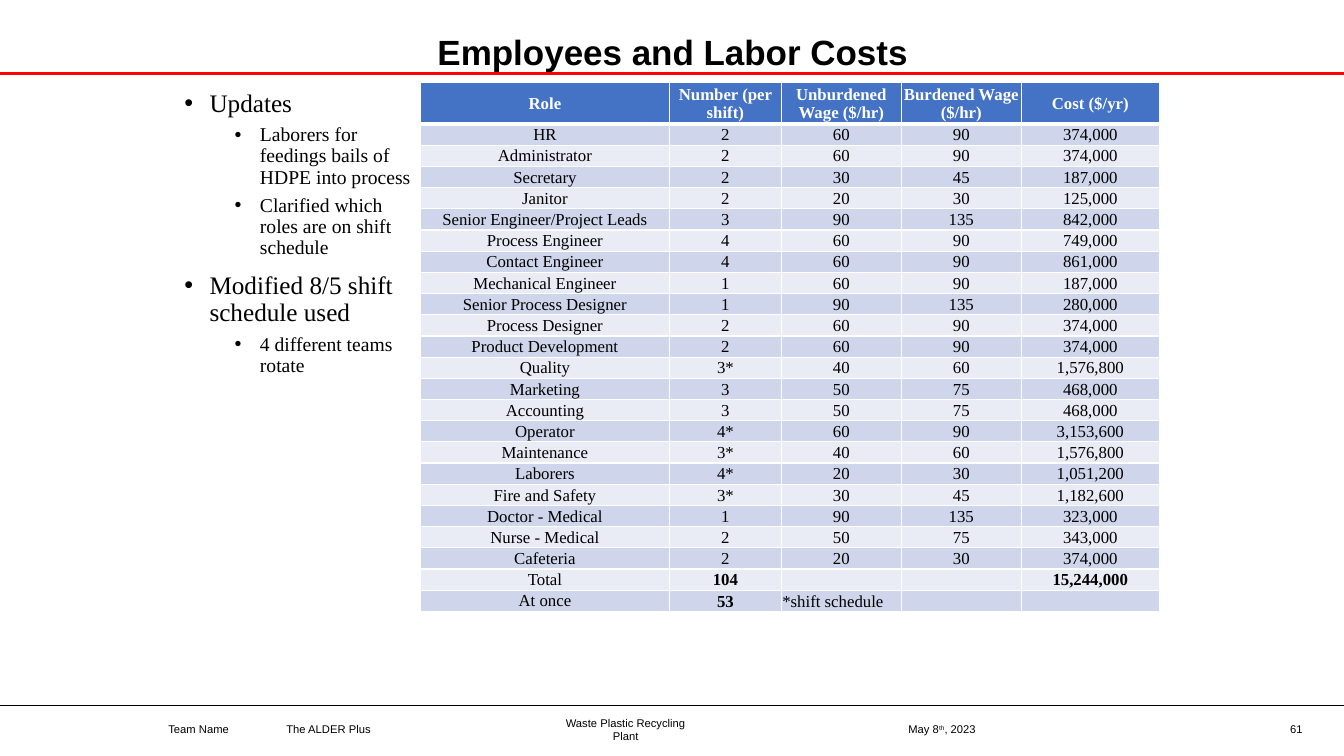
from lxml import etree
from pptx import Presentation
from pptx.dml.color import RGBColor
from pptx.enum import shapes, text
from pptx.oxml.ns import qn
from pptx.util import Inches, Pt

BLACK = RGBColor(0x00, 0x00, 0x00)
WHITE = RGBColor(0xFF, 0xFF, 0xFF)
RED = RGBColor(0xFF, 0x00, 0x00)
HEADER_BLUE = RGBColor(0x44, 0x72, 0xC4)
BANDS = (RGBColor(0xCF, 0xD5, 0xEA), RGBColor(0xE9, 0xEB, 0xF5))
SANS, SERIF = "Arial", "Times New Roman"
LEFT, CENTER, RIGHT = text.PP_ALIGN.LEFT, text.PP_ALIGN.CENTER, text.PP_ALIGN.RIGHT
MIDDLE, BOTTOM = text.MSO_ANCHOR.MIDDLE, text.MSO_ANCHOR.BOTTOM

# Content
TITLE = "Employees and Labor Costs"
POINTS = [  # level, text
    (0, "Updates"),
    (1, "Laborers for feedings bails of HDPE into process"),
    (1, "Clarified which roles are on shift schedule"),
    (0, "Modified 8/5 shift schedule used"),
    (1, "4 different teams rotate"),
]
LEVELS = [  # text size, indent, space before
    (18, 0.25, 10),
    (14, 0.75, 5),
]
STAFF = [
    ("Role", "Number (per shift)", "Unburdened Wage ($/hr)", "Burdened Wage ($/hr)", "Cost ($/yr)"),
    ("HR", "2", "60", "90", "374,000"),
    ("Administrator", "2", "60", "90", "374,000"),
    ("Secretary", "2", "30", "45", "187,000"),
    ("Janitor", "2", "20", "30", "125,000"),
    ("Senior Engineer/Project Leads", "3", "90", "135", "842,000"),
    ("Process Engineer", "4", "60", "90", "749,000"),
    ("Contact Engineer", "4", "60", "90", "861,000"),
    ("Mechanical Engineer", "1", "60", "90", "187,000"),
    ("Senior Process Designer", "1", "90", "135", "280,000"),
    ("Process Designer", "2", "60", "90", "374,000"),
    ("Product Development", "2", "60", "90", "374,000"),
    ("Quality", "3*", "40", "60", "1,576,800"),
    ("Marketing", "3", "50", "75", "468,000"),
    ("Accounting", "3", "50", "75", "468,000"),
    ("Operator", "4*", "60", "90", "3,153,600"),
    ("Maintenance", "3*", "40", "60", "1,576,800"),
    ("Laborers", "4*", "20", "30", "1,051,200"),
    ("Fire and Safety", "3*", "30", "45", "1,182,600"),
    ("Doctor - Medical", "1", "90", "135", "323,000"),
    ("Nurse - Medical", "2", "50", "75", "343,000"),
    ("Cafeteria", "2", "20", "30", "374,000"),
    ("Total", "104", "", "", "15,244,000"),
    ("At once", "53", "*shift schedule", "", ""),
]
COLUMN_WIDTHS = (2.47, 1.11, 1.19, 1.19, 1.37)
HEADER_HEIGHT, ROW_HEIGHT = 0.37, 0.2
BOLD_CELLS = {"104", "15,244,000", "53"}
BOTTOM_CELLS = {"53", "*shift schedule"}
FOOTERS = [  # left, width, alignment, runs as (text, is superscript)
    (1.67, 1.1, LEFT, [("Team Name", False)]),
    (2.84, 1.05, LEFT, [("The ALDER Plus", False)]),
    (5.5, 1.41, CENTER, [("Waste Plastic Recycling Plant", False)]),
    (9.01, 0.96, LEFT, [("May 8", False), ("th", True), (", 2023", False)]),
    (12.31, 0.61, RIGHT, [("61", False)]),
]
RULES = [(0.73, RED, 2), (7, BLACK, 1)]  # height on slide, colour, weight


def style(font, name, size, color=BLACK, bold=False):
    font.name, font.size, font.bold = name, Pt(size), bold
    font.color.rgb = color


def set_margins(item, left, top, right, bottom):
    item.margin_left, item.margin_top = Inches(left), Inches(top)
    item.margin_right, item.margin_bottom = Inches(right), Inches(bottom)


def add_border(cell, side, weight):
    line = etree.SubElement(cell._tc.get_or_add_tcPr(), qn(f"a:ln{side}"), w=str(Pt(weight)))
    fill = etree.SubElement(line, qn("a:solidFill"))
    etree.SubElement(fill, qn("a:srgbClr"), val=str(WHITE))


deck = Presentation()
deck.slide_width, deck.slide_height = Inches(13.33), Inches(7.5)
page = deck.slides.add_slide(deck.slide_layouts[5])

# Rules above and below the content
for height, color, weight in RULES:
    rule = page.shapes.add_connector(
        shapes.MSO_CONNECTOR.STRAIGHT, 0, Inches(height), deck.slide_width, Inches(height))
    rule.line.color.rgb, rule.line.width = color, Pt(weight)
    etree.SubElement(rule._element.spPr, qn("a:effectLst"))

# Title
title = page.shapes.title
title.left, title.top, title.width, title.height = map(Inches, (0.92, 0.34, 11.5, 0.4))
frame = title.text_frame
frame.text, frame.vertical_anchor = TITLE, MIDDLE
frame.auto_size = text.MSO_AUTO_SIZE.NONE
para = frame.paragraphs[0]
para.alignment, para.line_spacing = CENTER, 0.9
style(para.font, SANS, 25, bold=True)

# Bulleted notes
frame = page.shapes.add_textbox(*map(Inches, (1.73, 0.85, 2.57, 6))).text_frame
frame.word_wrap = True
for index, (level, words) in enumerate(POINTS):
    size, indent, space = LEVELS[level]
    para = frame.add_paragraph() if index else frame.paragraphs[0]
    para.text, para.level, para.line_spacing = words, level, 0.9
    if index:
        para.space_before = Pt(space)
    props = para._p.get_or_add_pPr()
    props.set("marL", str(Inches(indent)))
    props.set("indent", str(Inches(-0.25)))
    etree.SubElement(props, qn("a:buFont"), typeface=SANS)
    etree.SubElement(props, qn("a:buChar"), char="•")
    style(para.font, SERIF, size)

# Staff table
table_height = HEADER_HEIGHT + ROW_HEIGHT * (len(STAFF) - 1)
table = page.shapes.add_table(
    len(STAFF), len(COLUMN_WIDTHS), Inches(4.17), Inches(0.82),
    Inches(sum(COLUMN_WIDTHS)), Inches(table_height)).table
for column, width in zip(table.columns, COLUMN_WIDTHS):
    column.width = Inches(width)
for row_index, values in enumerate(STAFF):
    header = row_index == 0
    table.rows[row_index].height = Inches(HEADER_HEIGHT if header else ROW_HEIGHT)
    for column_index, value in enumerate(values):
        cell = table.cell(row_index, column_index)
        set_margins(cell, 0.01, 0.01, 0.01, 0)
        cell.vertical_anchor = BOTTOM if value in BOTTOM_CELLS else MIDDLE
        for side in "LRTB":
            thick = (row_index, side) in ((0, "B"), (1, "T"))
            add_border(cell, side, 3 if thick else 1)
        cell.fill.solid()
        cell.fill.fore_color.rgb = HEADER_BLUE if header else BANDS[(row_index - 1) % 2]
        para = cell.text_frame.paragraphs[0]
        para.alignment = LEFT if value.startswith("*") else CENTER
        style(para.font, SERIF, 12, WHITE if header else BLACK, header or value in BOLD_CELLS)
        if value:
            para.add_run().text = value
        else:  # an empty cell takes its line height from the end mark
            etree.SubElement(para._p, qn("a:endParaRPr"), sz="1200")

# Footer
for left, width, alignment, runs in FOOTERS:
    box = page.shapes.add_textbox(Inches(left), Inches(7.03), Inches(width), Inches(0.41))
    frame = box.text_frame
    frame.word_wrap, frame.vertical_anchor = True, MIDDLE
    set_margins(frame, 0, 0, 0, 0)
    para = frame.paragraphs[0]
    para.alignment = alignment
    style(para.font, SANS, 8)
    for words, superscript in runs:
        span = para.add_run()
        span.text = words
        if superscript:
            span.font._element.set("baseline", "30000")

deck.save("out.pptx")
